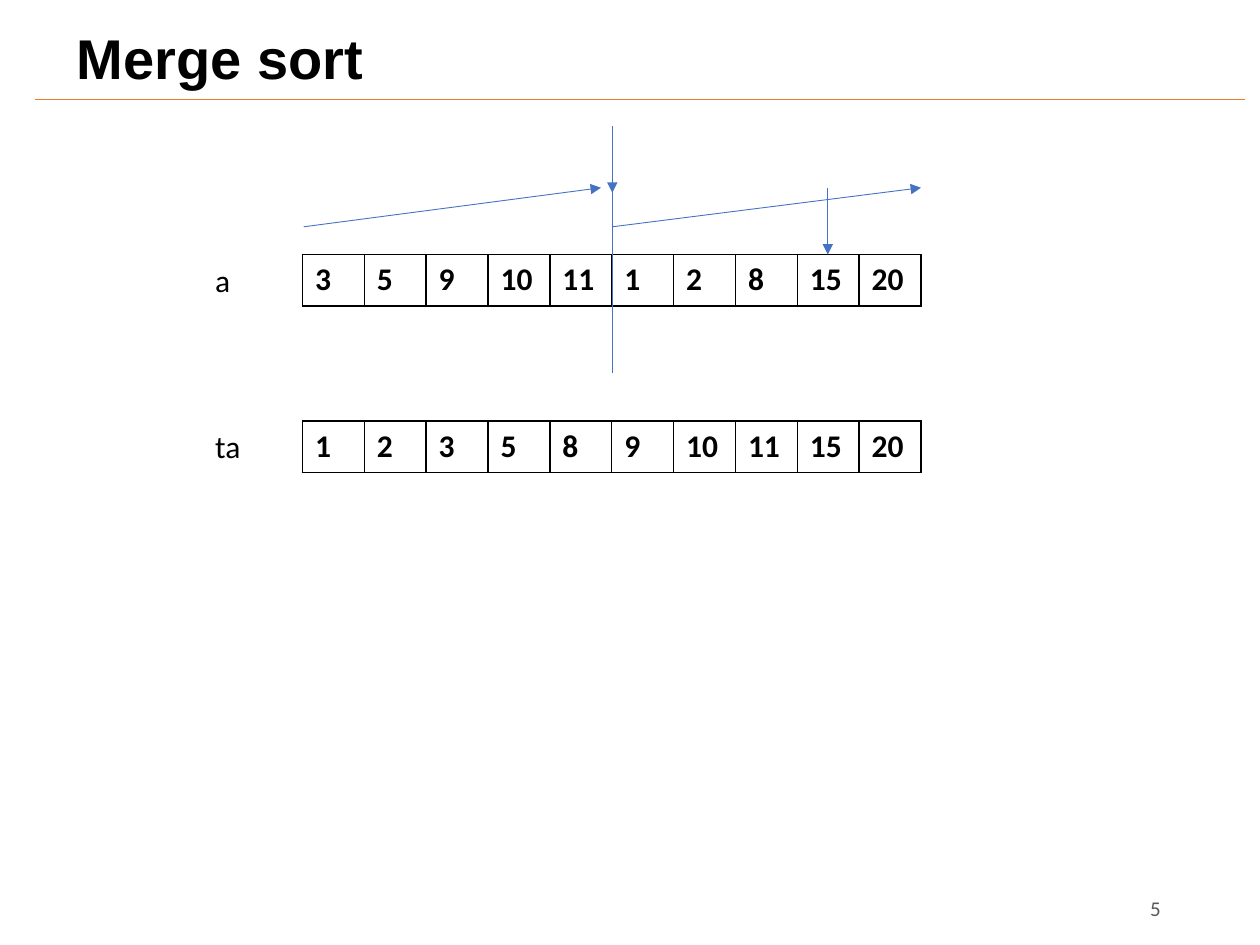
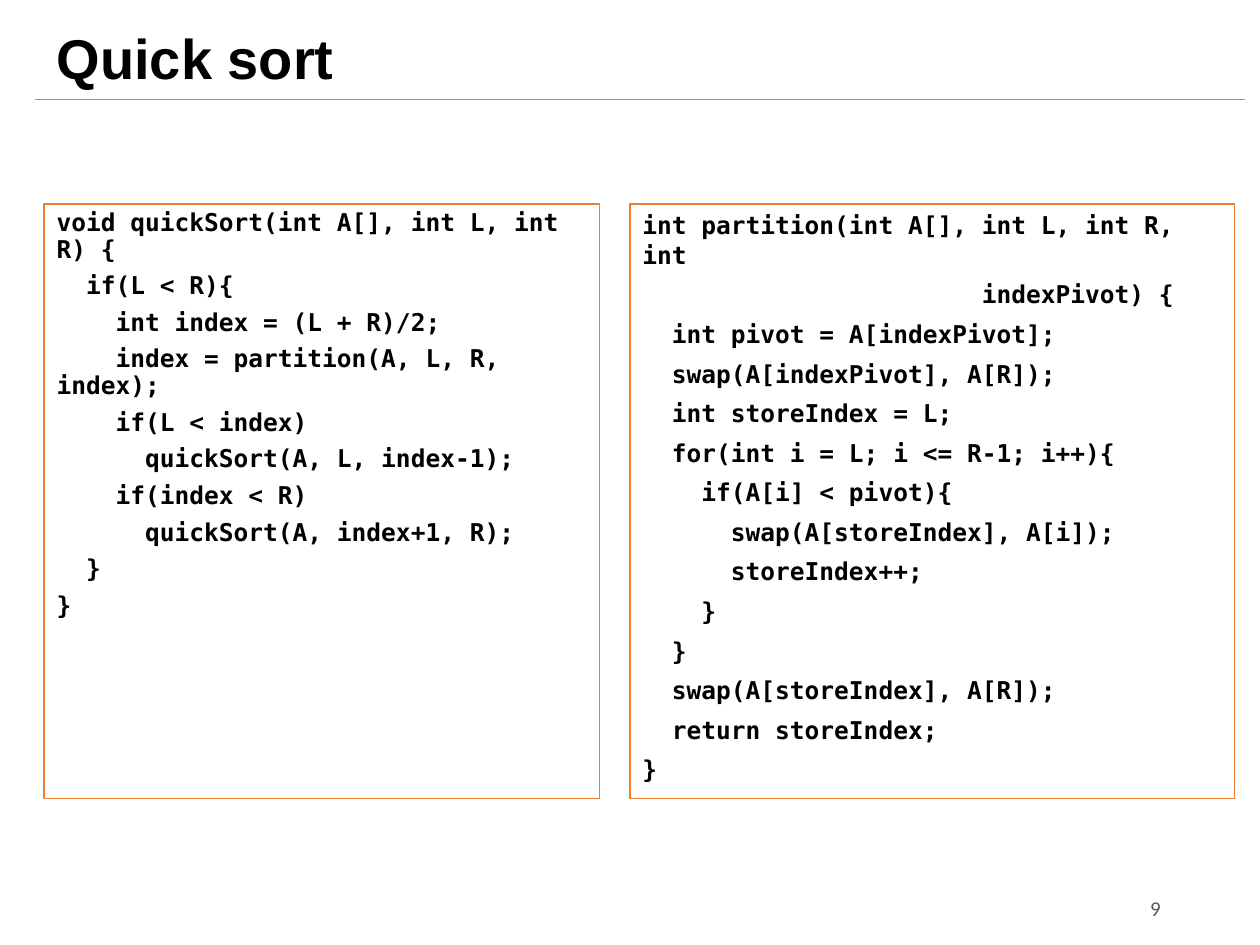
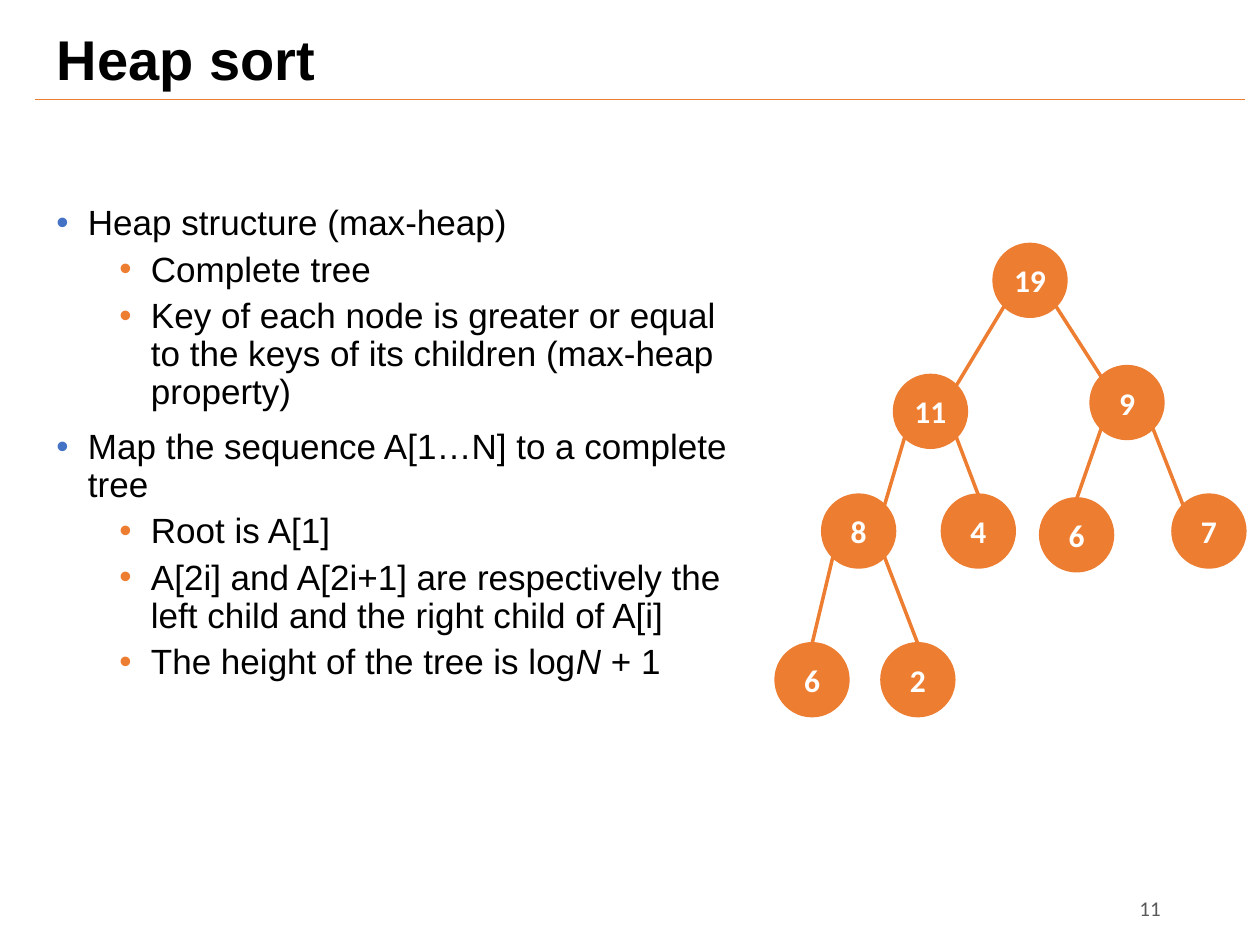
from lxml import etree
from pptx import Presentation
from pptx.dml.color import RGBColor
from pptx.enum.shapes import MSO_CONNECTOR, MSO_SHAPE
from pptx.enum.text import MSO_ANCHOR, MSO_AUTO_SIZE, PP_ALIGN
from pptx.oxml.ns import qn
from pptx.util import Inches, Pt

# Shared style
COLORS = {
    "black": "000000", "white": "FFFFFF", "gray": "595959",
    "blue": "4472C4", "orange": "ED7D31",
}
HEADING_FONT, TEXT_FONT, CODE_FONT = "Arial", "Calibri", "DejaVu Sans Mono"

# Merge sort content
ARRAYS = [  # name, top, values
    ("a", 2.02, [3, 5, 9, 10, 11, 1, 2, 8, 15, 20]),
    ("ta", 3.34, [1, 2, 3, 5, 8, 9, 10, 11, 15, 20]),
]
ARRAY_LEFT, ARRAY_WIDTH, ARRAY_HEIGHT = 2.4, 4.91, 0.41
MIDDLE = 4.86
MERGE_ARROWS = [
    ((2.41, 1.8), (4.77, 1.49)),
    ((MIDDLE, 1.8), (7.31, 1.49)),
    ((MIDDLE, 1), (MIDDLE, 1.53)),
    ((6.57, 1.49), (6.57, 2.02)),
]

# Quick sort content
QUICK_SORT = """void quickSort(int A[], int L, int R) {
  if(L < R){
    int index = (L + R)/2;
    index = partition(A, L, R, index);
    if(L < index)
      quickSort(A, L, index-1);
    if(index < R)
      quickSort(A, index+1, R);
  }
}"""
PARTITION = """int partition(int A[], int L, int R, int
                       indexPivot) {
  int pivot = A[indexPivot];
  swap(A[indexPivot], A[R]);
  int storeIndex = L;
  for(int i = L; i <= R-1; i++){
    if(A[i] < pivot){
      swap(A[storeIndex], A[i]);
      storeIndex++;
    }
  }
  swap(A[storeIndex], A[R]);
  return storeIndex;
}"""
CODE_BOXES = [  # code, left, width, line spacing
    (QUICK_SORT, 0.35, 4.41, 0.9),
    (PARTITION, 5, 4.8, 1.0),
]

# Heap sort content
HEAP_POINTS = [  # level, runs as (text, italic)
    (0, [("Heap structure (max-heap)", False)]),
    (1, [("Complete tree", False)]),
    (1, [("Key of each node is greater or equal to the keys of its children "
          "(max-heap property)", False)]),
    (0, [("Map the sequence A[1…N] to a complete tree", False)]),
    (1, [("Root is A[1]", False)]),
    (1, [("A[2i] and A[2i+1] are respectively the left child and the right "
          "child of A[i]", False)]),
    (1, [("The height of the tree is log", False), ("N", True), (" + 1", False)]),
]
LEVELS = [  # indent, space before, bullet colour
    (0.25, 10, "blue"),
    (0.75, 5, "orange"),
]
HEAP_NODES = [  # key, left, top, in heap order
    (19, 7.89, 1.94), (11, 7.1, 2.98), (9, 8.66, 2.91),
    (8, 6.53, 3.93), (4, 7.48, 3.93), (6, 8.26, 3.96), (7, 9.31, 3.93),
    (6, 6.16, 5.11), (2, 7, 5.11),
]
NODE_SIZE = 0.57
CORNER = 0.08  # distance from a node's frame to its circle on the diagonal
EDGES_TO_TOP = {5, 6, 8, 9}  # heap positions whose edge ends at the node's top


def color(name):
    return RGBColor.from_string(COLORS[name])


def style_runs(paragraph, size, font, color_name="black", bold=False):
    for run in paragraph.runs:
        run.font.size = Pt(size)
        run.font.name = font
        run.font.bold = bold
        run.font.color.rgb = color(color_name)


def add_text(slide, text, left, top, width, height, size=18, color_name="black"):
    shape = slide.shapes.add_textbox(
        Inches(left), Inches(top), Inches(width), Inches(height))
    shape.text_frame.word_wrap = True
    shape.text_frame.text = text
    style_runs(shape.text_frame.paragraphs[0], size, TEXT_FONT, color_name)
    return shape


def add_line(slide, start, end, color_name, width=0.5, arrow=False):
    points = [Inches(value) for value in (*start, *end)]
    connector = slide.shapes.add_connector(MSO_CONNECTOR.STRAIGHT, *points)
    connector.line.color.rgb = color(color_name)
    connector.line.width = Pt(width)
    properties = connector._element.spPr
    if arrow:
        line = properties.find(qn("a:ln"))
        etree.SubElement(line, qn("a:tailEnd"), type="triangle")
    etree.SubElement(properties, qn("a:effectLst"))


def add_slide(presentation, title, number, title_left=0.35, title_height=0.71):
    slide = presentation.slides.add_slide(presentation.slide_layouts[5])
    shape = slide.shapes.title
    shape.left, shape.top = Inches(title_left), Inches(0.13)
    shape.width, shape.height = Inches(9.5 - title_left), Inches(title_height)
    frame = shape.text_frame
    frame.text = title
    frame.auto_size = MSO_AUTO_SIZE.NONE
    frame.vertical_anchor = MSO_ANCHOR.MIDDLE
    paragraph = frame.paragraphs[0]
    paragraph.alignment = PP_ALIGN.LEFT
    paragraph.line_spacing = 0.9
    style_runs(paragraph, 32, HEADING_FONT, bold=True)

    # Rule under the title and page number
    add_line(slide, (0.28, 0.79), (9.88, 0.79), "orange")
    footer = add_text(slide, str(number), 8.06, 7.01, 1.25, 0.4, 12, "gray")
    footer.text_frame.vertical_anchor = MSO_ANCHOR.MIDDLE
    footer.text_frame.paragraphs[0].alignment = PP_ALIGN.RIGHT
    return slide


def add_borders(cell):
    properties = cell._tc.get_or_add_tcPr()
    for side in ("lnL", "lnR", "lnT", "lnB"):
        line = etree.SubElement(properties, qn(f"a:{side}"), w=str(Pt(1)))
        fill = etree.SubElement(line, qn("a:solidFill"))
        etree.SubElement(fill, qn("a:srgbClr"), val=COLORS["black"])


def add_array(slide, name, top, values):
    add_text(slide, name, 1.61, top, 0.55, ARRAY_HEIGHT)
    table = slide.shapes.add_table(
        1, len(values), Inches(ARRAY_LEFT), Inches(top),
        Inches(ARRAY_WIDTH), Inches(ARRAY_HEIGHT)).table
    table.first_row = table.horz_banding = False
    for column, value in enumerate(values):
        table.columns[column].width = Inches(ARRAY_WIDTH / len(values))
        cell = table.cell(0, column)
        cell.text_frame.text = str(value)
        style_runs(cell.text_frame.paragraphs[0], 18, TEXT_FONT, bold=True)
        add_borders(cell)
        cell.fill.background()


def add_code_box(slide, code, left, width, line_spacing):
    shape = slide.shapes.add_shape(
        MSO_SHAPE.RECTANGLE, Inches(left), Inches(1.62), Inches(width), Inches(4.72))
    shape.shadow.inherit = False
    shape.fill.background()
    shape.line.color.rgb = color("orange")
    shape.line.width = Pt(0.75)
    frame = shape.text_frame
    frame.word_wrap = True
    frame.vertical_anchor = MSO_ANCHOR.TOP
    frame.text = code
    for paragraph in frame.paragraphs:
        paragraph.alignment = PP_ALIGN.LEFT
        paragraph.line_spacing = line_spacing
        paragraph.space_before = Pt(5.8)
        style_runs(paragraph, 14, CODE_FONT, bold=True)


def add_bullet(paragraph, indent, color_name):
    properties = paragraph._p.get_or_add_pPr()
    properties.set("marL", str(Inches(indent)))
    properties.set("indent", str(Inches(-0.25)))
    bullet_color = etree.SubElement(properties, qn("a:buClr"))
    etree.SubElement(bullet_color, qn("a:srgbClr"), val=COLORS[color_name])
    etree.SubElement(properties, qn("a:buFont"), typeface=HEADING_FONT)
    etree.SubElement(properties, qn("a:buChar"), char="•")


def add_points(slide):
    shape = slide.shapes.add_textbox(
        Inches(0.35), Inches(1.58), Inches(5.67), Inches(5.47))
    frame = shape.text_frame
    frame.word_wrap = True
    for index, (level, runs) in enumerate(HEAP_POINTS):
        paragraph = frame.add_paragraph() if index else frame.paragraphs[0]
        indent, space_before, bullet_color = LEVELS[level]
        paragraph.level = level
        paragraph.line_spacing = 0.9
        paragraph.space_before = Pt(space_before)
        add_bullet(paragraph, indent, bullet_color)
        for text, italic in runs:
            run = paragraph.add_run()
            run.text = text
            run.font.italic = italic
        style_runs(paragraph, 20, HEADING_FONT)


def add_node(slide, key, left, top):
    shape = slide.shapes.add_shape(
        MSO_SHAPE.FLOWCHART_CONNECTOR, Inches(left), Inches(top),
        Inches(NODE_SIZE), Inches(NODE_SIZE))
    shape.shadow.inherit = False
    shape.fill.solid()
    shape.fill.fore_color.rgb = color("orange")
    shape.line.color.rgb = color("orange")
    shape.line.width = Pt(2)
    frame = shape.text_frame
    frame.margin_left = frame.margin_right = 0
    frame.margin_top = frame.margin_bottom = 0
    frame.vertical_anchor = MSO_ANCHOR.MIDDLE
    frame.text = str(key)
    frame.paragraphs[0].alignment = PP_ALIGN.CENTER
    style_runs(frame.paragraphs[0], 18, TEXT_FONT, "white", bold=True)


def add_edge(slide, position):
    """Join the node at a heap position to its parent at position // 2."""
    _, parent_left, parent_top = HEAP_NODES[position // 2 - 1]
    _, left, top = HEAP_NODES[position - 1]
    near, far = CORNER, NODE_SIZE - CORNER
    is_left_child = position % 2 == 0
    start = (parent_left + (near if is_left_child else far), parent_top + far)
    if position in EDGES_TO_TOP:
        end = (left + NODE_SIZE / 2, top)
    else:
        end = (left + (far if is_left_child else near), top + near)
    add_line(slide, start, end, "orange", width=2)


def build_merge_sort(presentation):
    slide = add_slide(presentation, "Merge sort", 5, title_left=0.51)
    for name, top, values in ARRAYS:
        add_array(slide, name, top, values)
    add_line(slide, (MIDDLE, 1.31), (MIDDLE, 2.96), "blue")
    for start, end in MERGE_ARROWS:
        add_line(slide, start, end, "blue", arrow=True)


def build_quick_sort(presentation):
    slide = add_slide(presentation, "Quick sort", 9)
    for code_box in CODE_BOXES:
        add_code_box(slide, *code_box)


def build_heap_sort(presentation):
    slide = add_slide(presentation, "Heap sort", 11, title_height=0.73)
    add_points(slide)
    for node in HEAP_NODES:
        add_node(slide, *node)
    for position in range(2, len(HEAP_NODES) + 1):
        add_edge(slide, position)


def main():
    presentation = Presentation()
    presentation.slide_width, presentation.slide_height = Inches(10), Inches(7.5)
    build_merge_sort(presentation)
    build_quick_sort(presentation)
    build_heap_sort(presentation)
    presentation.save("out.pptx")


if __name__ == "__main__":
    main()
